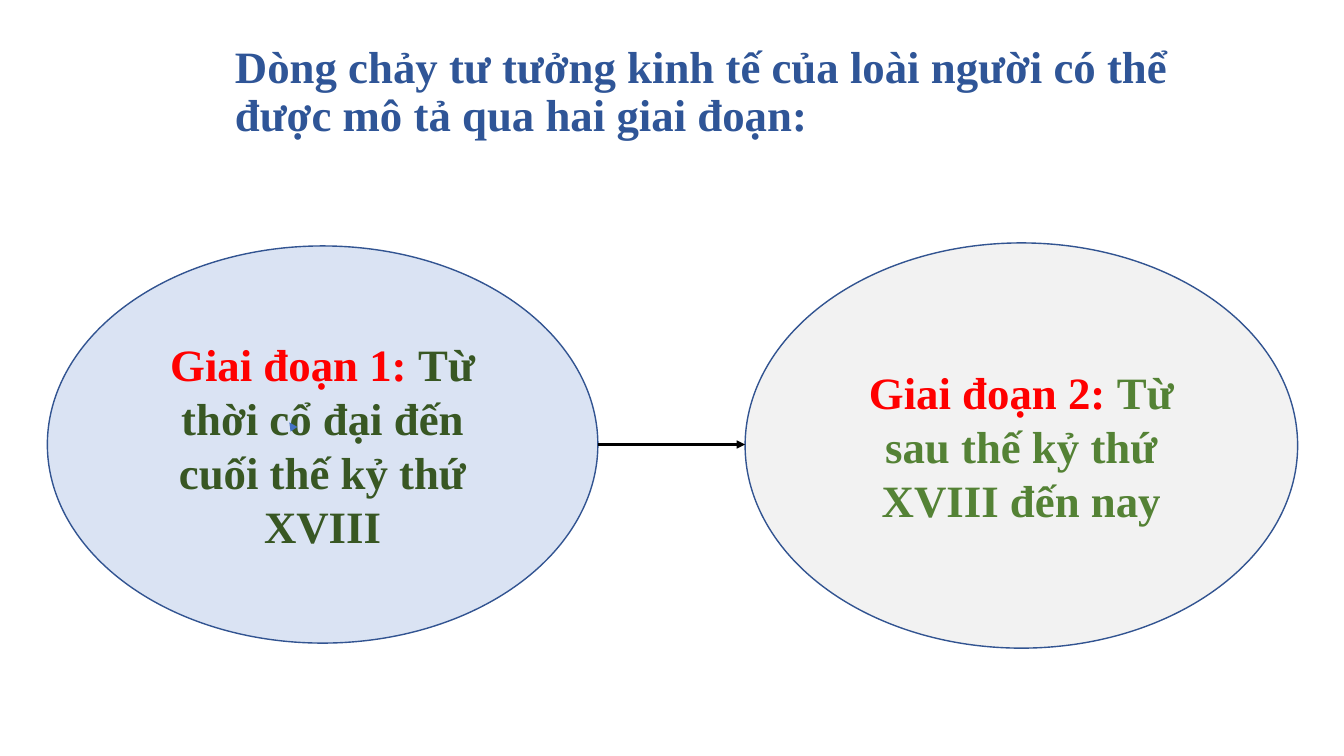
from lxml import etree
from pptx import Presentation, util as u
from pptx.dml.color import RGBColor
from pptx.enum import shapes, text
from pptx.oxml.ns import qn

PX = 9144  # EMU per px, 100 px to the inch
FONT = "Times New Roman"
COLOURS = {
    "title": "2F5597", "label": "FF0000", "outline": "325491",
    "early": "DAE3F3", "early text": "385723",
    "late": "F2F2F2", "late text": "548235",
    "arrow": "000000", "tick": "4472C4",
}


def colour(name):
    return RGBColor.from_string(COLOURS[name])


def set_font(font):
    font.name, font.size, font.bold = FONT, u.Pt(32), True


deck = Presentation()
deck.slide_width, deck.slide_height = 1333 * PX, 750 * PX
slide = deck.slides.add_slide(deck.slide_layouts[5])

# Title
title = slide.shapes.title
title.left, title.top, title.width, title.height = (n * PX for n in (223, 40, 1018, 104))
title.text_frame.text = "Dòng chảy tư tưởng kinh tế của loài người có thể được mô tả qua hai giai đoạn:"
title.text_frame.word_wrap = True
title.text_frame.auto_size = text.MSO_AUTO_SIZE.NONE
title.text_frame.vertical_anchor = text.MSO_ANCHOR.MIDDLE
heading = title.text_frame.paragraphs[0]
heading.alignment = text.PP_ALIGN.LEFT
heading.line_spacing = 0.9
set_font(heading.font)
heading.font.color.rgb = colour("title")

# The two stages
stages = [
    ("early", (47, 244, 546, 394), "Giai đoạn 1: ", "Từ thời cổ đại đến cuối thế kỷ thứ XVIII"),
    ("late", (739, 241, 548, 402), "Giai đoạn 2: ", "Từ sau thế kỷ thứ XVIII đến nay"),
]
for period, box, label, description in stages:
    stage = slide.shapes.add_shape(shapes.MSO_SHAPE.OVAL, *(n * PX for n in box))
    stage.shadow.inherit = False
    stage.fill.solid()
    stage.fill.fore_color.rgb = colour(period)
    stage.line.color.rgb = colour("outline")
    stage.line.width = u.Pt(1)
    stage.text_frame.word_wrap = True
    stage.text_frame.vertical_anchor = text.MSO_ANCHOR.MIDDLE
    sentence = stage.text_frame.paragraphs[0]
    sentence.alignment = text.PP_ALIGN.CENTER
    set_font(sentence.font)
    for words, tint in ((label, "label"), (description, period + " text")):
        run = sentence.add_run()
        run.text = words
        run.font.color.rgb = colour(tint)

# Small tick in the first stage, then the arrow between the stages
arrows = [
    ("tick", (289, 422, 287, 419), 0.5),
    ("arrow", (593, 441, 739, 441), 1.5),
]
for tint, ends, weight in arrows:
    arrow = slide.shapes.add_connector(shapes.MSO_CONNECTOR.STRAIGHT, *(n * PX for n in ends))
    arrow.line.color.rgb = colour(tint)
    arrow.line.width = u.Pt(weight)
    etree.SubElement(arrow.line._get_or_add_ln(), qn("a:tailEnd"), type="triangle")
    etree.SubElement(arrow._element.spPr, qn("a:effectLst"))

deck.save("out.pptx")
